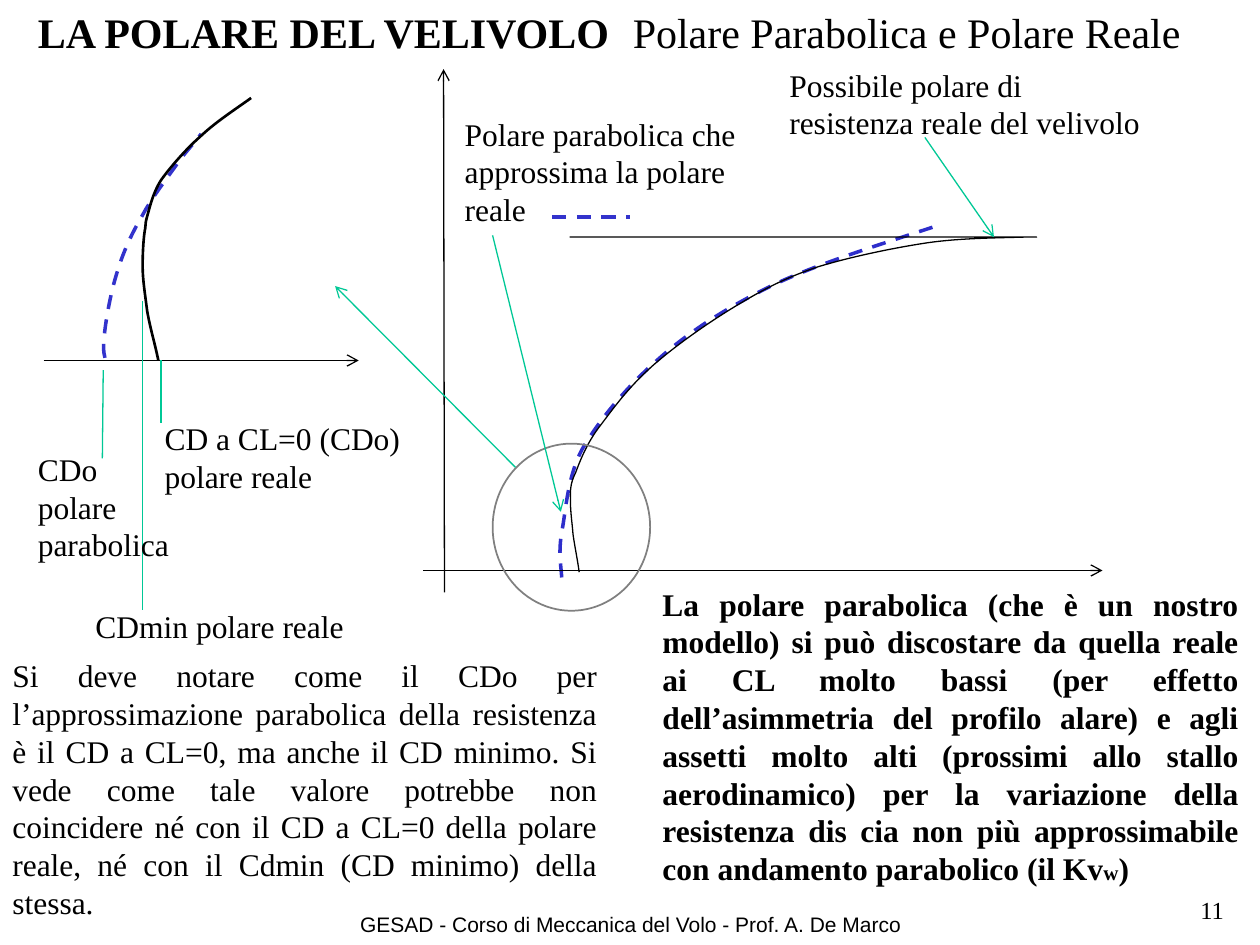
from lxml import etree
from pptx import Presentation
from pptx.dml.color import RGBColor
from pptx.enum.dml import MSO_LINE
from pptx.enum.shapes import MSO_CONNECTOR, MSO_SHAPE
from pptx.enum.text import PP_ALIGN
from pptx.oxml.ns import qn
from pptx.util import Pt

BLACK, BLUE, GREEN, GREY = "000000", "3333CC", "00C896", "808080"
SERIF = {"name": "Times New Roman", "size": Pt(18), "bold": False}


def color(hex_value):
    return RGBColor.from_string(hex_value)


def style_line(line, ink, weight, dashed=False):
    line.color.rgb = color(ink)
    line.width = Pt(weight)
    if dashed:
        line.dash_style = MSO_LINE.DASH


def add_text(slide, left, top, width, height, paragraphs, align=PP_ALIGN.LEFT, wrap=True, **font_values):
    """Each paragraph is a string or a list of (text, size) runs."""
    frame = slide.shapes.add_textbox(Pt(left), Pt(top), Pt(width), Pt(height)).text_frame
    frame.word_wrap = wrap
    for index, content in enumerate(paragraphs):
        paragraph = frame.add_paragraph() if index else frame.paragraphs[0]
        paragraph.alignment = align
        values = {**SERIF, **font_values}
        runs = [(content, values["size"])] if isinstance(content, str) else content
        for words, size in runs:
            run = paragraph.add_run()
            run.text = words
            for attribute, value in {**values, "size": size}.items():
                setattr(run.font, attribute, value)
            run.font.color.rgb = color(BLACK)


def add_line(slide, left, top, start, end, ink, weight=0.75, dashed=False, arrow=False):
    connector = slide.shapes.add_connector(
        MSO_CONNECTOR.STRAIGHT,
        Pt(left + start[0]), Pt(top + start[1]), Pt(left + end[0]), Pt(top + end[1]))
    style_line(connector.line, ink, weight, dashed)
    properties = connector._element.spPr
    if arrow:
        etree.SubElement(properties.find(qn("a:ln")), qn("a:tailEnd"), type="arrow")
    etree.SubElement(properties, qn("a:effectLst"))


def add_curve(slide, left, top, points, ink, weight, dashed=False):
    """Draw a Bezier chain: a start point, then three points per segment."""
    start, *rest = [(Pt(left + x), Pt(top + y)) for x, y in points]
    builder = slide.shapes.build_freeform(*start, scale=1.0)
    builder.add_line_segments(rest, close=False)
    curve = builder.convert_to_shape()
    curve.shadow.inherit = False
    curve.fill.background()
    style_line(curve.line, ink, weight, dashed)
    # Merge every three straight segments into one cubic segment
    steps = list(curve._element.iter(qn("a:lnTo")))
    for first in range(0, len(steps), 3):
        cubic = etree.Element(qn("a:cubicBezTo"))
        steps[first].addprevious(cubic)
        for step in steps[first:first + 3]:
            cubic.append(step[0])
            step.getparent().remove(step)


def add_heading(slide, left, top):
    add_text(slide, left, top, 345, 36, ["LA POLARE DEL VELIVOLO"], wrap=False, size=Pt(24), bold=True)
    add_text(slide, left + 340, top, 348, 36, ["Polare Parabolica e Polare Reale"], size=Pt(24))


def add_polar_chart(slide, left, top):
    # Parabolic polar with its label and dash sample
    parabola = [
        (81, 294), (80.5, 286.5), (79, 280), (81, 268), (83.5, 255.5), (84, 237.5), (92.5, 221),
        (102, 204.5), (118.5, 184.5), (136.5, 169), (154, 153.5), (174, 140.5), (200.5, 127.5),
        (226.5, 115), (260.5, 104.5), (294, 93.5)]
    add_curve(slide, left, top, parabola, "2E2ECB", 2, dashed=True)
    add_line(slide, left, top, (75.5, 88), (120, 88), BLUE, 2, dashed=True)
    add_text(slide, left + 18.5, top + 26, 174, 72.5,
             ["Polare parabolica che approssima la polare reale"])

    # Axes
    for start, end in [((2, 290), (390, 290)), ((14, 302.5), (13.5, 3.5))]:
        add_line(slide, left, top, start, end, BLACK, arrow=True)

    # Real polar with its label
    real = [
        (91, 291), (90, 283.5), (88.5, 276.5), (87.5, 269.5), (87, 263), (86, 256.5), (86, 250.5),
        (86, 245), (85.5, 241), (89, 234), (92, 226), (96, 216), (104, 206), (111.5, 196),
        (120, 184.5), (133, 173), (146, 161.5), (166, 147.5), (182, 138), (197, 129),
        (209.5, 122.5), (227.5, 116.5), (245.5, 111), (269, 106), (288.5, 103), (308, 100),
        (331, 100), (345.5, 99.5), (360.5, 99.5), (378.5, 99.5)]
    add_curve(slide, left, top, real, BLACK, 0.75)
    add_text(slide, left + 204, top - 2, 230.5, 51,
             ["Possibile polare di", "resistenza reale del velivolo"])

    # Enlarged zone
    zone = slide.shapes.add_shape(MSO_SHAPE.OVAL, Pt(left + 41.5), Pt(top + 217.5), Pt(90), Pt(95.5))
    zone.shadow.inherit = False
    zone.fill.background()
    style_line(zone.line, GREY, 1)

    # Pointers from the labels to the curves, and from the zone to the detail
    pointers = [((41.5, 98.5), (80.5, 256.5)), ((288.5, 42.5), (328, 99.5)), ((54.5, 231), (-48.5, 127.5))]
    for start, end in pointers:
        add_line(slide, left, top, start, end, GREEN, arrow=True)


def add_detail(slide, left, top):
    # Axis and the two curves
    add_line(slide, left, top, (11, 150), (191, 150), BLACK, arrow=True)
    parabola = [
        (46, 148.5), (45, 145), (45, 140.5), (46, 132.5), (47, 124.5), (49.5, 110.5), (53, 99.5),
        (56.5, 88), (61, 78), (67.5, 67), (73, 56.5), (84, 42.5), (89.5, 34.5),
        (95.5, 27), (98.5, 24), (101, 20.5)]
    real = [
        (76.5, 150), (74.5, 140), (71.5, 130.5), (70, 121), (69, 112.5), (67.5, 104), (67.5, 96),
        (67.5, 88.5), (68, 79.5), (69, 74.5), (69.5, 70), (69, 72), (70, 68), (71.5, 63),
        (73, 55), (78, 47), (83, 40), (92, 29.5), (100.5, 22), (109, 14), (119, 7.5), (129.5, 0)]
    add_curve(slide, left, top, parabola, BLUE, 2, dashed=True)
    add_curve(slide, left, top, real, BLACK, 1.5)

    # Guides down to the drag coefficient labels
    for start, end in [((45, 155.5), (44.5, 206)), ((78, 150), (78, 186)), ((67.5, 116), (67.5, 292.5))]:
        add_line(slide, left, top, start, end, GREEN)
    labels = [
        (33.5, 287.5, 163, 29, ["CDmin polare reale"]),
        (73, 180, 155, 51, ["CD a CL=0 (CDo)", "polare reale"]),
        (0.5, 197.5, 90, 72.5, ["CDo", "polare", "parabolica"])]
    for x, y, width, height, words in labels:
        add_text(slide, left + x, top + y, width, height, words, wrap=False)


def add_comments(slide, left, top):
    add_text(slide, left, top + 41, 348.5, 160, [
        "Si deve notare come il CDo per l’approssimazione parabolica della resistenza è il CD a CL=0, "
        "ma anche il CD minimo. Si vede come tale valore potrebbe non coincidere né con il CD a CL=0 "
        "della polare reale, né con il Cdmin (CD minimo) della stessa."], PP_ALIGN.JUSTIFY)
    add_text(slide, left + 371.5, top, 343.5, 181.5, [[
        ("La polare parabolica (che è un nostro modello) si può discostare da quella reale ai CL molto "
         "bassi (per effetto dell’asimmetria del profilo alare) e agli assetti molto alti (prossimi allo "
         "stallo aerodinamico) per la variazione della resistenza dis cia non più approssimabile con "
         "andamento parabolico (il Kv", Pt(18)), ("w", Pt(12)), (")", Pt(18))]],
        PP_ALIGN.JUSTIFY, bold=True)


def add_footer(slide, left, top):
    add_text(slide, left, top + 9.5, 431, 25, ["GESAD - Corso di Meccanica del Volo - Prof. A. De Marco"],
             PP_ALIGN.CENTER, name="Arial", size=Pt(12))
    add_text(slide, left + 371.5, top, 190, 11.5, ["11"], PP_ALIGN.RIGHT, size=Pt(14))


def main():
    presentation = Presentation()
    presentation.slide_width, presentation.slide_height = Pt(720), Pt(540)
    slide = presentation.slides.add_slide(presentation.slide_layouts[6])
    add_heading(slide, 14.5, 0)
    add_polar_chart(slide, 240, 36)
    add_detail(slide, 14, 56)
    add_comments(slide, 0, 330.5)
    add_footer(slide, 145, 508)
    presentation.save("out.pptx")


if __name__ == "__main__":
    main()
